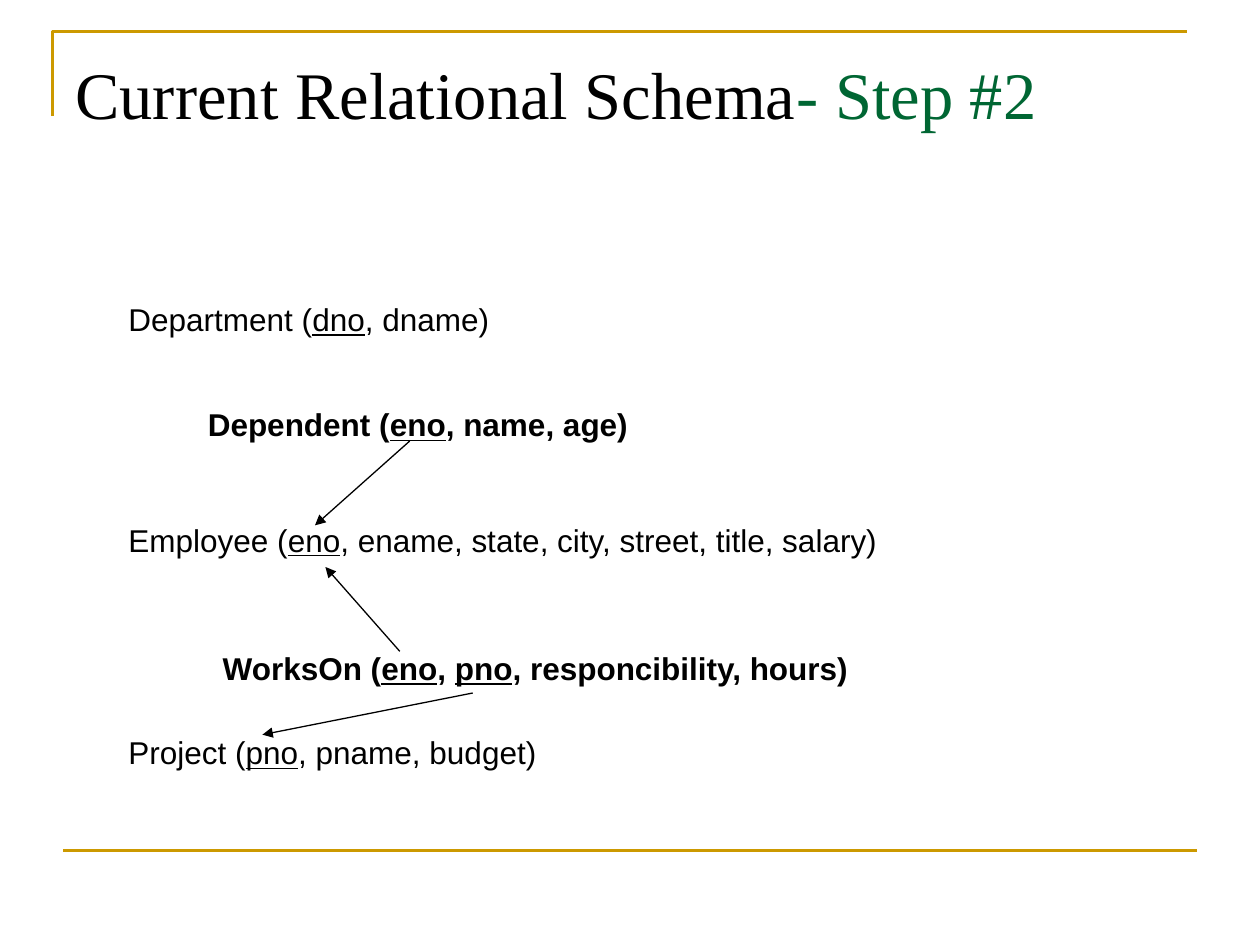
from dataclasses import dataclass

from lxml import etree
from pptx import Presentation
from pptx.dml.color import RGBColor
from pptx.enum.shapes import MSO_CONNECTOR
from pptx.enum.text import MSO_ANCHOR, MSO_AUTO_SIZE
from pptx.oxml.ns import qn
from pptx.util import Cm, Pt

STRAIGHT = MSO_CONNECTOR.STRAIGHT
TOP = MSO_ANCHOR.TOP
FIT_SHAPE = MSO_AUTO_SIZE.SHAPE_TO_FIT_TEXT


@dataclass(frozen=True)
class Theme:
    ink: RGBColor = RGBColor(0x00, 0x00, 0x00)
    accent: RGBColor = RGBColor(0x00, 0x66, 0x33)
    rule: RGBColor = RGBColor(0xCC, 0x99, 0x00)
    title_font: str = "Times New Roman"
    body_font: str = "Arial"
    title_size: Pt = Pt(38)
    body_size: Pt = Pt(18)
    rule_width: Pt = Pt(1.5)
    arrow_width: Pt = Pt(0.75)


THEME = Theme()

RELATIONS = [
    (0, 0, 7.77, False, "Department (_dno_, dname)"),
    (1.6, 2.13, 8.97, True, "Dependent (_eno_, name, age)"),
    (0, 4.45, 15.65, False, "Employee (_eno_, ename, state, city, street, title, salary)"),
    (1.9, 7.04, 13.16, True, "WorksOn (_eno_, _pno_, responcibility, hours)"),
    (0, 8.74, 8.74, False, "Project (_pno_, pname, budget)"),
]

FOREIGN_KEYS = [
    (5.92, 2.97, 4.01, 4.67),
    (5.72, 7.21, 4.22, 5.51),
    (7.19, 8.05, 2.95, 8.89),
]


def add_run(p, text, font, size, color):
    r = p.add_run()
    r.text = text
    r.font.name = font
    r.font.size = size
    r.font.color.rgb = color
    return r


def add_line(s, x1, y1, x2, y2, color, width):
    line = s.shapes.add_connector(STRAIGHT, Cm(x1), Cm(y1), Cm(x2), Cm(y2))
    line.line.color.rgb = color
    line.line.width = width
    etree.SubElement(line._element.spPr, qn("a:effectLst"))
    return line


def add_arrow(s, x1, y1, x2, y2):
    line = add_line(s, x1, y1, x2, y2, THEME.ink, THEME.arrow_width)
    etree.SubElement(line.line._get_or_add_ln(), qn("a:tailEnd"), type="triangle")


def add_frame(s, left, top, width, height):
    corner = s.shapes.build_freeform(Cm(left), Cm(top + 1.7))
    corner.add_line_segments(
        [(Cm(left), Cm(top)), (Cm(left + width), Cm(top))], close=False
    )
    sp = corner.convert_to_shape()
    sp.shadow.inherit = False
    sp.fill.background()
    sp.line.color.rgb = THEME.rule
    sp.line.width = THEME.rule_width
    x, y = left + 0.21, top + height
    add_line(s, x, y, x + width, y, THEME.rule, THEME.rule_width)


def add_title(s, left, top, width, height):
    tf = s.shapes.add_textbox(Cm(left), Cm(top), Cm(width), Cm(height)).text_frame
    tf.word_wrap = True
    tf.vertical_anchor = TOP
    tf.margin_top = Cm(0.3)
    p = tf.paragraphs[0]
    for text, color in (
        ("Current Relational Schema", THEME.ink),
        ("- Step #2", THEME.accent),
    ):
        add_run(p, text, THEME.title_font, THEME.title_size, color)


def add_relation(s, left, top, width, bold, text):
    tf = s.shapes.add_textbox(Cm(left), Cm(top), Cm(width), Cm(1.02)).text_frame
    tf.word_wrap = False
    tf.auto_size = FIT_SHAPE
    p = tf.paragraphs[0]
    for i, part in enumerate(text.split("_")):
        r = add_run(p, part, THEME.body_font, THEME.body_size, THEME.ink)
        r.font.bold = bold
        r.font.underline = i % 2 == 1


def add_schema(s, left, top):
    for x, y, width, bold, text in RELATIONS:
        add_relation(s, left + x, top + y, width, bold, text)
    for x1, y1, x2, y2 in FOREIGN_KEYS:
        add_arrow(s, left + x1, top + y1, left + x2, top + y2)


def main():
    prs = Presentation()
    prs.slide_width, prs.slide_height = Cm(25.4), Cm(19.05)
    s = prs.slides.add_slide(prs.slide_layouts[6])
    add_frame(s, 1.06, 0.64, 22.86, 16.51)
    add_title(s, 1.27, 0.76, 22.86, 3.18)
    add_schema(s, 2.34, 5.92)
    prs.save("out.pptx")


if __name__ == "__main__":
    main()
